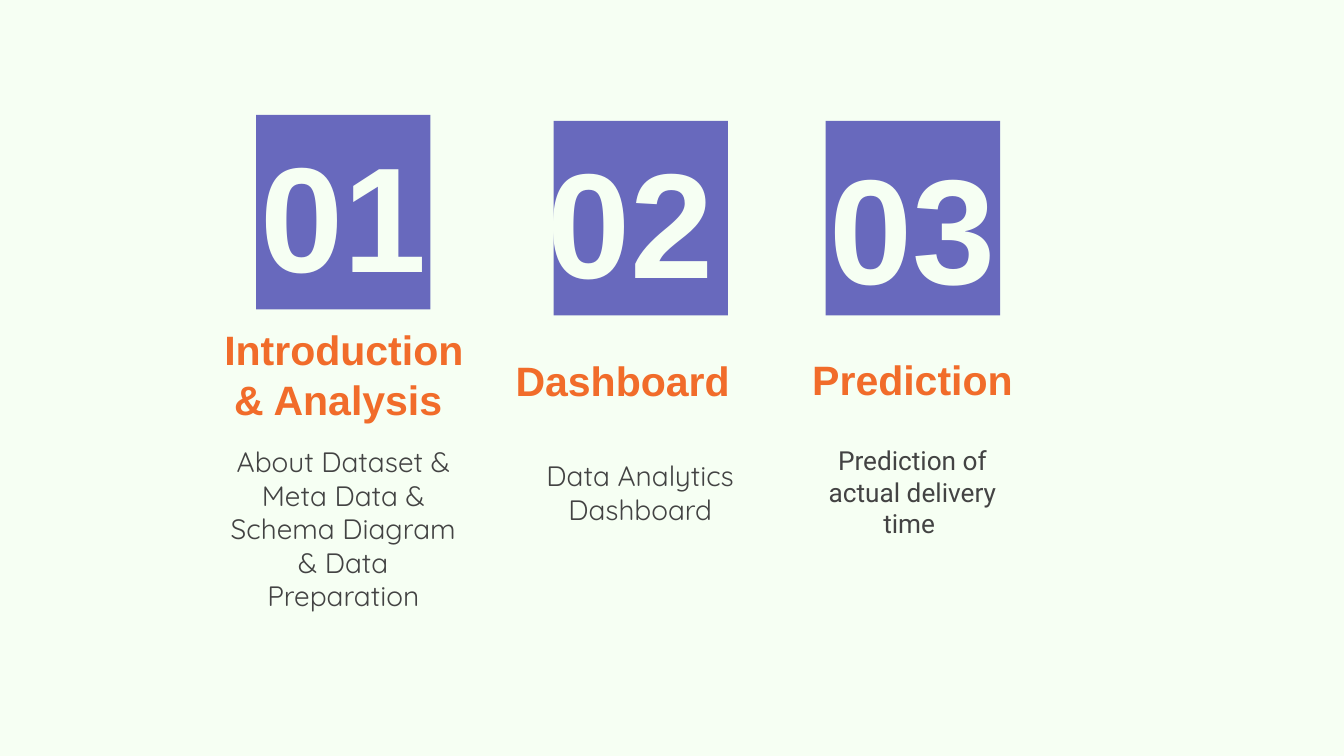
import pptx
import pptx.util
import pptx.dml.color
import pptx.enum.shapes
import pptx.enum.text

Inches = pptx.util.Inches
RGBColor = pptx.dml.color.RGBColor
Anchor = pptx.enum.text.MSO_ANCHOR

MINT = RGBColor(0xF6, 0xFF, 0xF3)
VIOLET = RGBColor(0x68, 0x69, 0xBD)
ORANGE = RGBColor(0xF1, 0x6C, 0x2A)
GRAY = RGBColor(0x43, 0x43, 0x43)

SECTIONS = [
    dict(number="01", tile=(2.54, 1.14), number_at=(1.9, 1.08),
         title="Introduction\v& Analysis ", title_at=(2.07, 3.46, 2.68, 0.87),
         summary="About Dataset & Meta Data & Schema Diagram & Data Preparation",
         summary_at=(2.15, 4.28, 2.51, 1.8), summary_style={}),
    dict(number="02", tile=(5.49, 1.2), number_at=(4.75, 1.14),
         title="Dashboard", title_at=(4.85, 3.52, 2.65, 0.62),
         summary="Data Analytics Dashboard",
         summary_at=(5.18, 4.42, 2.34, 1.19), summary_style=dict(space_after=12)),
    dict(number="03", tile=(8.19, 1.2), number_at=(7.55, 1.2),
         title="Prediction", title_at=(7.88, 3.58, 2.34, 0.56),
         summary="Prediction of actual delivery time ",
         summary_at=(7.88, 4.28, 2.34, 1.8), summary_style=dict(font="Roboto", size=18.7)),
]


def write(box, text, *, font="Arial", size=20, color=GRAY, bold=False,
          anchor=Anchor.TOP, space_after=0):
    frame = box.text_frame
    frame.word_wrap = True
    frame.vertical_anchor = anchor
    frame.margin_left = frame.margin_right = Inches(0.13)
    frame.margin_top = frame.margin_bottom = Inches(0.13)
    para = frame.paragraphs[0]
    para.text = text
    para.alignment = pptx.enum.text.PP_ALIGN.CENTER
    para.space_after = pptx.util.Pt(space_after)
    for span in para.runs:
        span.font.name = font
        span.font.size = pptx.util.Pt(size)
        span.font.bold = bold
        span.font.color.rgb = color


class Agenda:
    heading = dict(bold=True, anchor=Anchor.BOTTOM)

    def __init__(self, page):
        self.page = page
        page.background.fill.solid()
        page.background.fill.fore_color.rgb = MINT

    def text(self, place, text, **style):
        box = self.page.shapes.add_textbox(*map(Inches, place))
        write(box, text, **style)

    def tile(self, left, top):
        tile = self.page.shapes.add_shape(
            pptx.enum.shapes.MSO_SHAPE.RECTANGLE,
            Inches(left), Inches(top), Inches(1.73), Inches(1.93))
        tile.shadow.inherit = False
        tile.fill.solid()
        tile.fill.fore_color.rgb = VIOLET
        tile.line.fill.background()

    def number(self, left, top, text):
        self.text((left, top, 3.01, 2.05), text, size=106.7, color=MINT, **self.heading)

    def title(self, place, text):
        self.text(place, text, size=29.3, color=ORANGE, **self.heading)

    def summary(self, place, text, **style):
        self.text(place, text, **{"font": "Quicksand", **style})


def main():
    deck = pptx.Presentation()
    deck.slide_width = Inches(13.33)
    deck.slide_height = Inches(7.5)
    agenda = Agenda(deck.slides.add_slide(deck.slide_layouts[6]))
    for section in SECTIONS:
        agenda.tile(*section["tile"])
        agenda.number(*section["number_at"], section["number"])
        agenda.title(section["title_at"], section["title"])
        agenda.summary(section["summary_at"], section["summary"], **section["summary_style"])
    deck.save("out.pptx")


if __name__ == "__main__":
    main()
